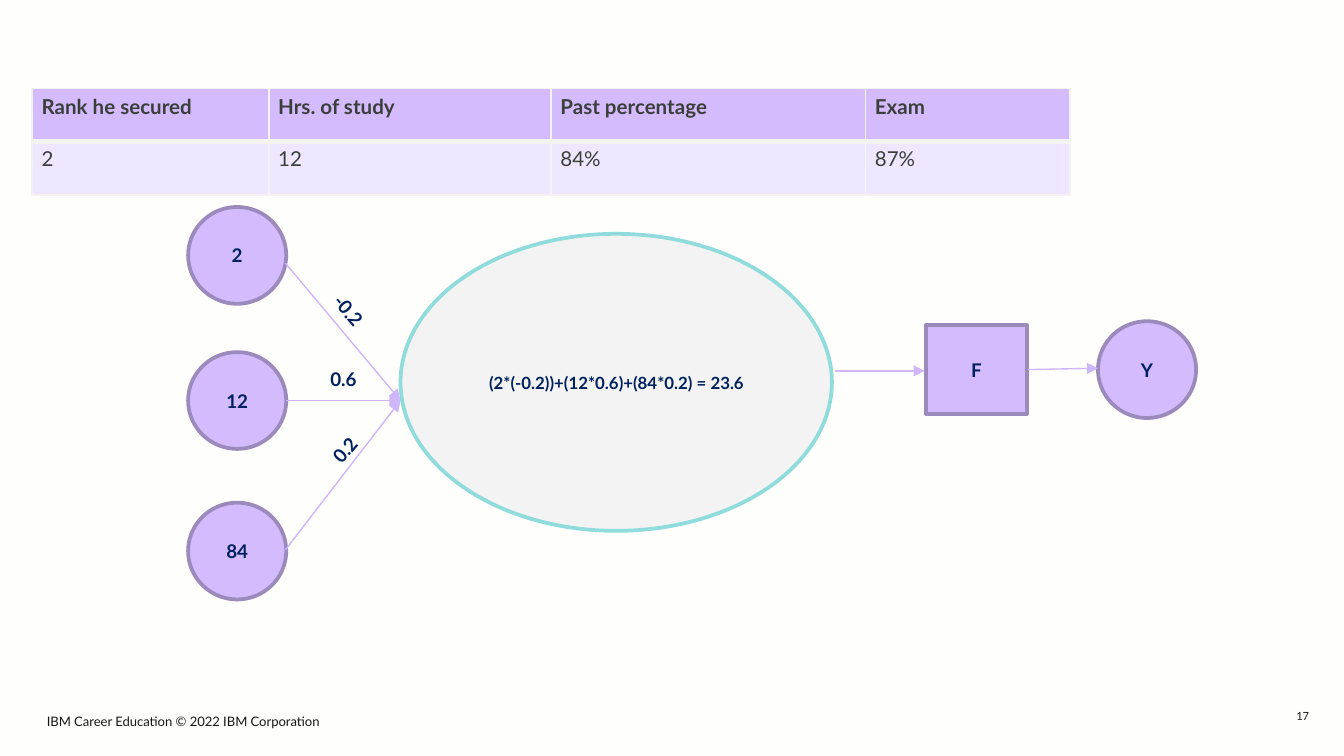
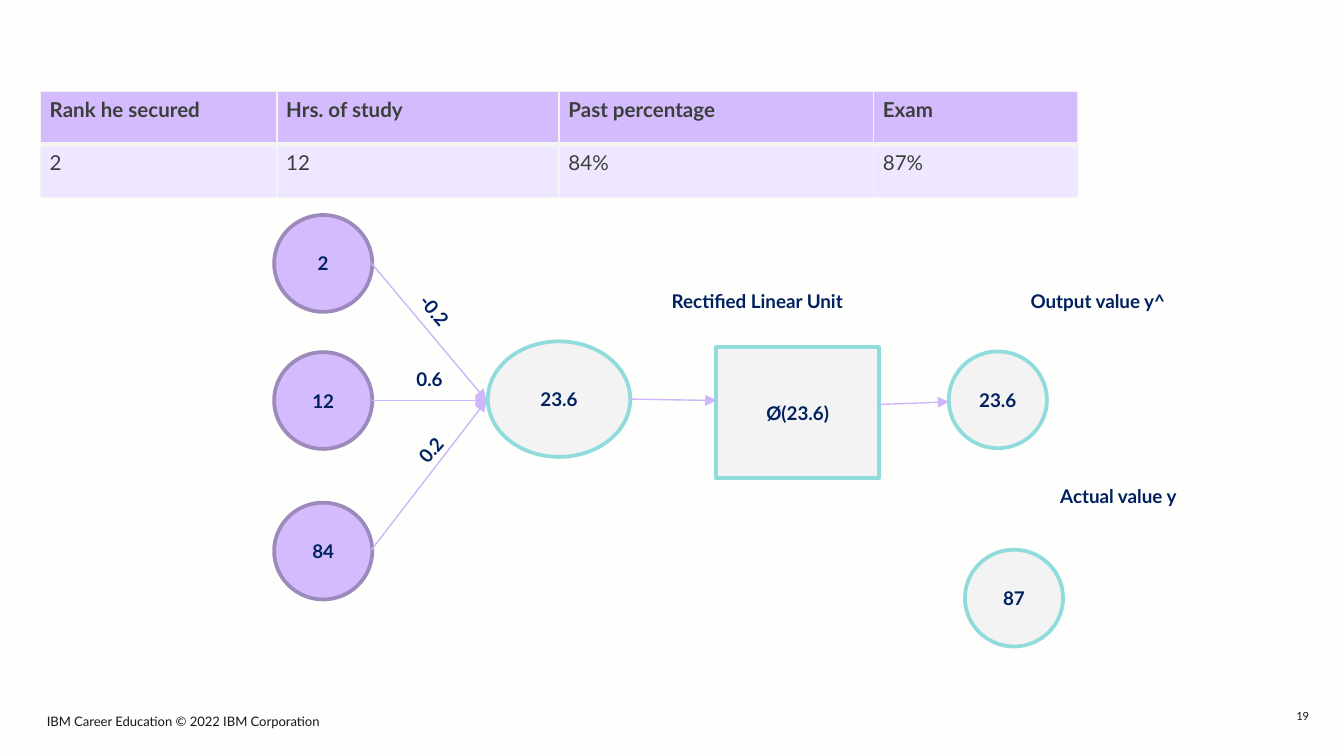
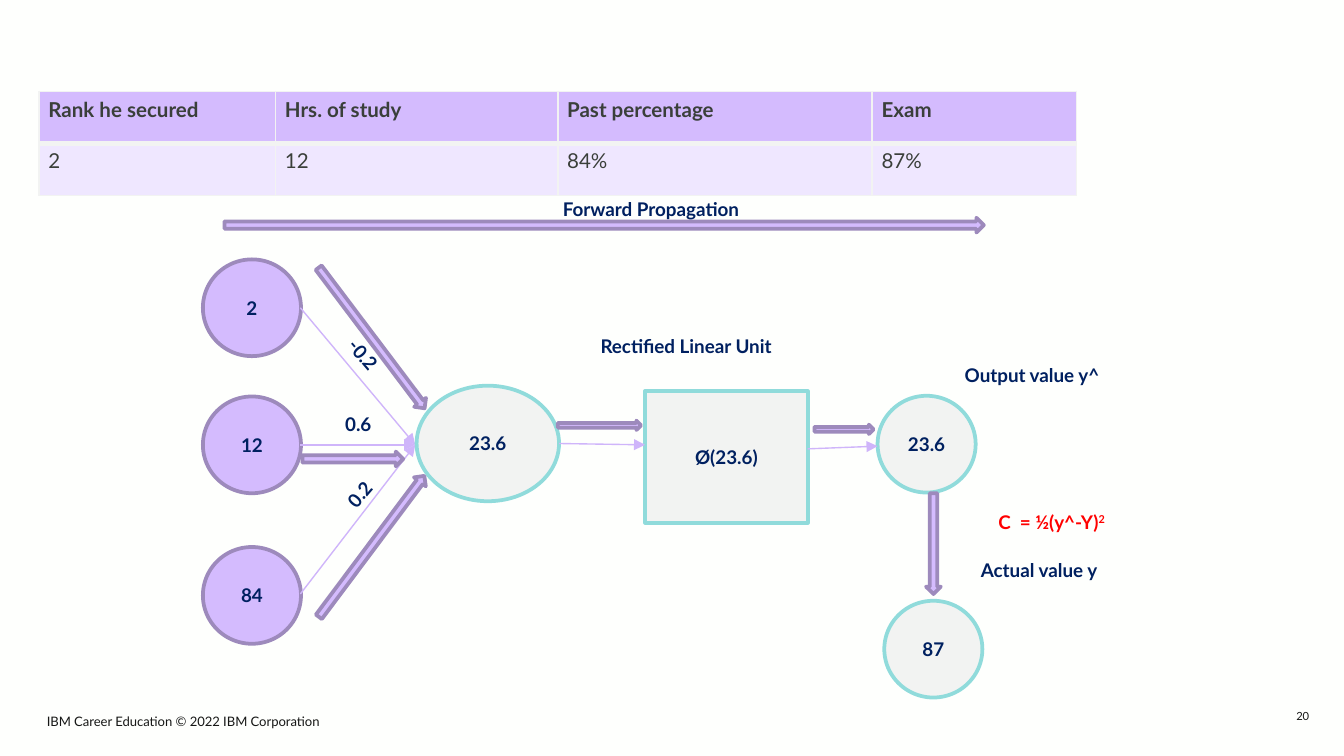
import pptx
import pptx.dml.color
import pptx.enum.shapes
import pptx.enum.text
import pptx.oxml.xmlchemy
import pptx.util

RGBColor = pptx.dml.color.RGBColor
SHAPE = pptx.enum.shapes.MSO_SHAPE
ALIGN = pptx.enum.text.PP_ALIGN
ANCHOR = pptx.enum.text.MSO_ANCHOR
OxmlElement = pptx.oxml.xmlchemy.OxmlElement

# Style
PAPER = RGBColor(0xFE, 0xFF, 0xFD)
INK = RGBColor(0x16, 0x17, 0x16)
NAVY = RGBColor(0x00, 0x20, 0x60)
RED = RGBColor(0xFF, 0x00, 0x00)
LILAC = RGBColor(0xD4, 0xBB, 0xFE)
PALE_LILAC = RGBColor(0xEF, 0xE7, 0xFF)
PURPLE = RGBColor(0x9D, 0x8A, 0xBC)
WIRE = RGBColor(0xCF, 0xB5, 0xFA)
GREY = RGBColor(0xF2, 0xF3, 0xF2)
TEAL = RGBColor(0x90, 0xDB, 0xDB)
TABLE_INK = RGBColor(0x3A, 0x3F, 0x3A)
FONT = "Lato"
INPUT = (LILAC, PURPLE)    # fill and line
RESULT = (GREY, TEAL)

# The grid has square cells: 100 columns by 56.25 rows
COLUMNS = 100
NODE_W, NODE_H = 7.3, 7.2
LABEL_H = 2.7

FOOTER = "IBM Career Education © 2022 IBM Corporation"
TABLE_ROWS = [
    ["Rank he secured", "Hrs. of study", "Past percentage", "Exam"],
    ["2", "12", "84%", "87%"],
]
TABLE_COLUMNS = [17.6, 21, 23.4, 15.2]


class Deck:
    """Holds the presentation, its style and the current slide."""

    def __init__(self):
        self.prs = pptx.Presentation()
        self.prs.slide_width = pptx.util.Inches(10)
        self.prs.slide_height = self.prs.slide_width * 9 // 16
        fill = self.prs.slide_master.background.fill
        fill.solid()
        fill.fore_color.rgb = PAPER
        self.s = None

    def grid(self, *cells):
        return [pptx.util.Emu(round(c * self.prs.slide_width / COLUMNS)) for c in cells]

    def slide(self, number):
        self.s = self.prs.slides.add_slide(self.prs.slide_layouts[6])
        self.text(str(number), 88.7, 52.3, 9.7, 2, size=6, color=INK, bold=False,
                  align=ALIGN.RIGHT)
        self.text(FOOTER, 2.5, 52.4, 40.1, 2.5, size=7, color=INK, bold=False,
                  anchor=ANCHOR.MIDDLE)

    def font(self, p, size=10.1, color=NAVY, bold=True):
        p.font.name = FONT
        p.font.size = pptx.util.Pt(size)
        p.font.bold = bold
        p.font.color.rgb = color

    def text(self, text, x, y, w, h=LABEL_H, angle=0, align=ALIGN.LEFT,
             anchor=ANCHOR.TOP, **font):
        sp = self.s.shapes.add_textbox(*self.grid(x, y, w, h))
        sp.rotation = angle
        tf = sp.text_frame
        tf.word_wrap = True
        tf.vertical_anchor = anchor
        p = tf.paragraphs[0]
        p.text = text
        p.alignment = align
        self.font(p, **font)
        return p

    def shape(self, kind, style, x, y, w, h, text="", angle=0, size=10.1):
        sp = self.s.shapes.add_shape(kind, *self.grid(x, y, w, h))
        sp.shadow.inherit = False
        sp.rotation = angle
        sp.fill.solid()
        sp.fill.fore_color.rgb, sp.line.color.rgb = style
        sp.line.width = pptx.util.Pt(2)
        if text:
            tf = sp.text_frame
            tf.vertical_anchor = ANCHOR.MIDDLE
            p = tf.paragraphs[0]
            p.text = text
            p.alignment = ALIGN.CENTER
            self.font(p, size)

    def node(self, text, style, x, y, w=NODE_W, h=NODE_H, size=10.1):
        self.shape(SHAPE.OVAL, style, x, y, w, h, text, size=size)

    def block_arrow(self, x, y, w, h=1.1, angle=0):
        self.shape(SHAPE.RIGHT_ARROW, INPUT, x, y, w, h, angle=angle)

    def wire(self, x1, y1, x2, y2):
        c = self.s.shapes.add_connector(
            pptx.enum.shapes.MSO_CONNECTOR.STRAIGHT, *self.grid(x1, y1, x2, y2))
        c.line.color.rgb = WIRE
        c.line.width = pptx.util.Pt(0.75)
        tail = OxmlElement("a:tailEnd")
        tail.set("type", "triangle")
        c.line._get_or_add_ln().append(tail)
        c._element.spPr.append(OxmlElement("a:effectLst"))

    def border(self, cell, side, points):
        ln = OxmlElement("a:ln" + side)
        ln.set("w", str(int(pptx.util.Pt(points))))
        fill = OxmlElement("a:solidFill")
        color = OxmlElement("a:srgbClr")
        color.set("val", str(GREY))
        fill.append(color)
        ln.append(fill)
        cell._tc.get_or_add_tcPr().append(ln)

    def table(self, x, y, row_heights):
        tbl = self.s.shapes.add_table(
            len(TABLE_ROWS), len(TABLE_COLUMNS),
            *self.grid(x, y, sum(TABLE_COLUMNS), sum(row_heights))).table
        for column, width in zip(tbl.columns, self.grid(*TABLE_COLUMNS)):
            column.width = width
        for i, (row, height) in enumerate(zip(tbl.rows, self.grid(*row_heights))):
            row.height = height
            header = i == 0
            for cell, text in zip(row.cells, TABLE_ROWS[i]):
                thick = {"B" if header else "T": 3}    # rule under the header
                for side in "LRTB":
                    self.border(cell, side, thick.get(side, 1))
                cell.fill.solid()
                cell.fill.fore_color.rgb = LILAC if header else PALE_LILAC
                cell.margin_left, cell.margin_right = self.grid(0.7, 0.7)
                cell.margin_top, cell.margin_bottom = self.grid(0.4, 0.4)
                p = cell.text_frame.paragraphs[0]
                p.text = text
                self.font(p, 11, TABLE_INK, header)

    def inputs(self, x, y, first_lift=0):
        """Three weighted inputs, with nodes from x, that meet at height y."""
        for text, top in (("2", -13.8 - first_lift), ("12", -3.6), ("84", 7.6)):
            self.node(text, INPUT, x, y + top)
        for start in (-10.2, 0, 11.1):
            self.wire(x + 7.25, y + start, x + 15.8, y)
        for text, dx, dy, w, angle in (("-0.2", 9.5, -7.6, 5.6, 49.7),
                                       ("0.6", 9.6, -2.9, 7, 0),
                                       ("0.2", 9.4, 1.7, 5.6, 310.6)):
            self.text(text, x + dx, y + dy, w, angle=angle)

    def network(self, x, y):
        """Inputs, weighted sum, activation and output."""
        self.inputs(x, y)
        self.node("23.6", RESULT, x + 15.9, y - 4.4, 10.6, 8.6)
        self.shape(SHAPE.RECTANGLE, RESULT, x + 32.9, y - 4, 12.1, 9.8, "Ø(23.6)")
        self.node("23.6", RESULT, x + 50.2, y - 3.65)
        self.wire(x + 26.5, y - 0.1, x + 32.9, y)
        self.wire(x + 45, y + 0.3, x + 50.2, y + 0.1)
        self.text("Rectified Linear Unit", x + 28.6, y - 8.7, 20.7)

    def comparison(self, output_at, actual_at, node_at):
        """Labels of the output and actual values, and the actual value."""
        self.text("Output value y^", *output_at, 25.7)
        self.text("Actual value y", *actual_at, 18.9)
        self.node("87", RESULT, *node_at)


def weighted_sum(deck):
    deck.slide(17)
    deck.table(2.4, 6.6, [3.9, 4])
    deck.inputs(14, 29.8, first_lift=0.6)
    deck.node("(2*(-0.2))+(12*0.6)+(84*0.2) = 23.6", RESULT, 29.8, 17.4, 32.1, 22.1, size=9)
    deck.shape(SHAPE.RECTANGLE, INPUT, 68.9, 24.2, 7.5, 6.6, "F")
    deck.node("Y", INPUT, 81.7, 23.9)
    deck.wire(62.1, 27.6, 68.8, 27.6)
    deck.wire(76.5, 27.5, 81.7, 27.4)


def activation(deck):
    deck.slide(19)
    deck.table(3, 6.8, [3.95, 3.95])
    deck.network(20.4, 29.8)
    deck.comparison((75.7, 21.1), (77.9, 35.6), (71.8, 40.9))


def forward_propagation(deck):
    deck.slide(20)
    deck.table(2.9, 6.8, [3.85, 3.9])
    deck.network(15.1, 33.1)
    deck.comparison((70.8, 26.6), (72, 41.1), (65.8, 44.7))

    # Direction of flow
    deck.block_arrow(16.7, 16.2, 56.5)
    deck.text("Forward Propagation", 40.9, 14.2, 20.7)
    deck.block_arrow(21.1, 24.6, 13.1, angle=53)
    deck.block_arrow(22.5, 33.6, 7.5)
    deck.block_arrow(21.1, 40.1, 13.1, angle=306.8)
    deck.block_arrow(41.5, 31.3, 6.2, 0.7)
    deck.block_arrow(60.6, 31.6, 4.4, 0.7)
    deck.block_arrow(65.7, 39.9, 7.5, angle=90)

    # Cost function
    p = deck.text("C  = ½(y^-Y)", 73.3, 37.4, 14.8, 2.8, color=RED)
    p.line_spacing = 1.07
    p.space_after = pptx.util.Pt(6)
    r = p.add_run()
    r.text = "2"
    r.font._element.set("baseline", "30000")


def main():
    deck = Deck()
    weighted_sum(deck)
    activation(deck)
    forward_propagation(deck)
    deck.prs.save("out.pptx")


if __name__ == "__main__":
    main()
